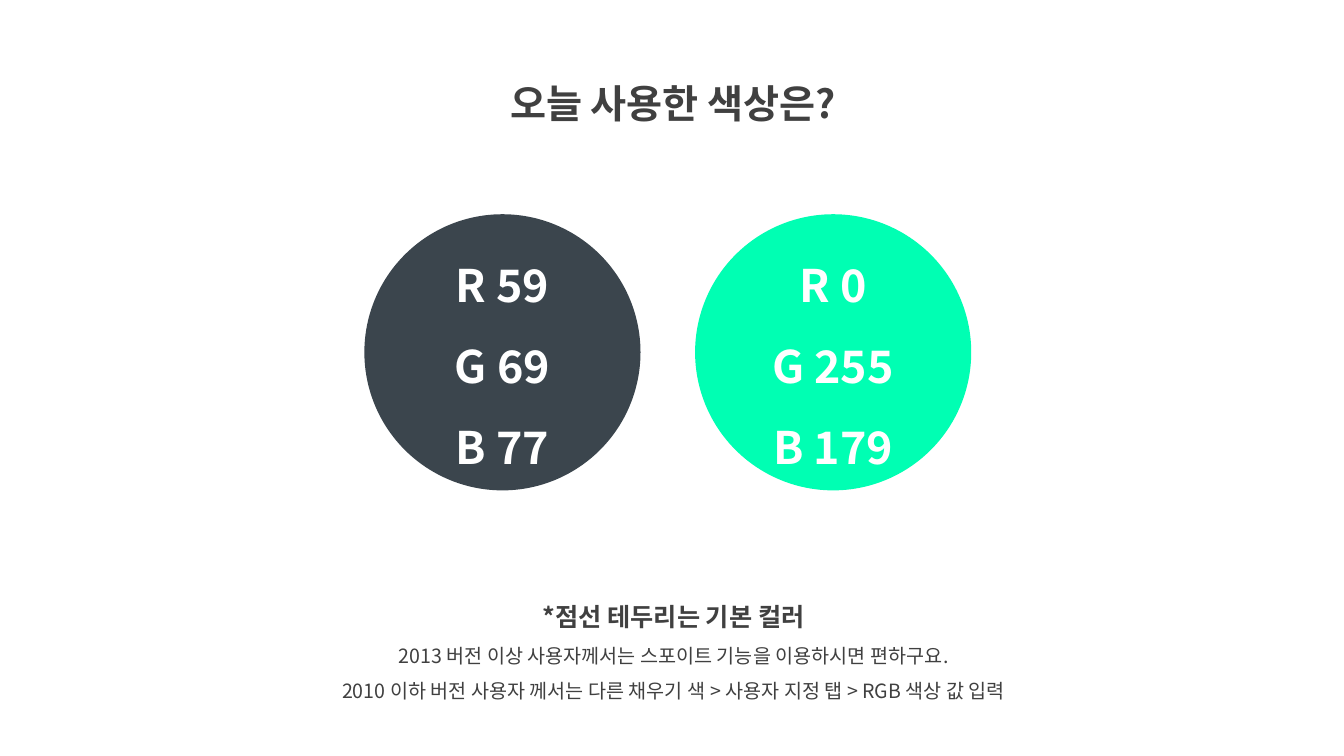
from pptx import Presentation
from pptx.dml.color import RGBColor
from pptx.enum.shapes import MSO_SHAPE as Shape
from pptx.enum.text import MSO_ANCHOR as Anchor, MSO_AUTO_SIZE as Fit, PP_ALIGN as Align
from pptx.oxml.ns import qn
from pptx.util import Emu, Pt
from lxml.etree import SubElement as Sub

PX = 9525
FONT = "Noto Sans CJK KR"
GRAY = RGBColor(0x40, 0x40, 0x40)
WHITE = RGBColor(0xFF, 0xFF, 0xFF)
SLATE = RGBColor(0x3B, 0x45, 0x4D)
MINT = RGBColor(0x00, 0xFF, 0xB3)


def px(*sizes):
    return [Emu(size * PX) for size in sizes]


class Page:
    def __init__(self, deck):
        self.slide = deck.slides.add_slide(deck.slide_layouts[5])
        self.shapes = self.slide.shapes

    def style(self, frame, lines, color, anchor):
        frame.text = "\n".join(text for text, size, bold in lines)
        frame.word_wrap = True
        frame.auto_size = Fit.NONE
        frame.vertical_anchor = anchor
        for para, (text, size, bold) in zip(frame.paragraphs, lines):
            para.alignment = Align.CENTER
            para.line_spacing = 1.5
            para.space_before = Pt(0)
            for run in para.runs:
                font = run.font
                font.name = FONT
                font.size = Pt(size)
                font.bold = bold
                font.color.rgb = color
                Sub(run._r.get_or_add_rPr(), qn("a:ea"), typeface=FONT)

    def title(self, box, text):
        head = self.shapes.title
        head.left, head.top, head.width, head.height = px(*box)
        self.style(head.text_frame, [(text, 28, True)], GRAY, Anchor.TOP)

    def note(self, box, lines):
        text = self.shapes.add_textbox(*px(*box))
        self.style(text.text_frame, lines, GRAY, Anchor.TOP)

    def disc(self, left, top, size, fill, rgb):
        disc = self.shapes.add_shape(Shape.OVAL, *px(left, top, size, size))
        disc.shadow.inherit = False
        disc.fill.solid()
        disc.fill.fore_color.rgb = fill
        disc.line.fill.background()
        lines = [(f"{name} {value}", 32, True) for name, value in zip("RGB", rgb)]
        self.style(disc.text_frame, lines, WHITE, Anchor.MIDDLE)


def main():
    deck = Presentation()
    deck.slide_width, deck.slide_height = px(1280, 720)
    page = Page(deck)
    page.title((419, 48, 444, 69), "오늘 사용한 색상은?")
    page.note((258, 554, 767, 121), [
        ("*점선 테두리는 기본 컬러", 18, True),
        ("2013 버전 이상 사용자께서는 스포이트 기능을 이용하시면 편하구요.", 14, False),
        ("2010 이하 버전 사용자 께서는 다른 채우기 색 > 사용자 지정 탭 > RGB 색상 값 입력", 14, False),
    ])
    for i, fill in enumerate((SLATE, MINT)):
        page.disc(347 + i * 315, 204, 263, fill, fill)
    deck.save("out.pptx")


if __name__ == "__main__":
    main()
